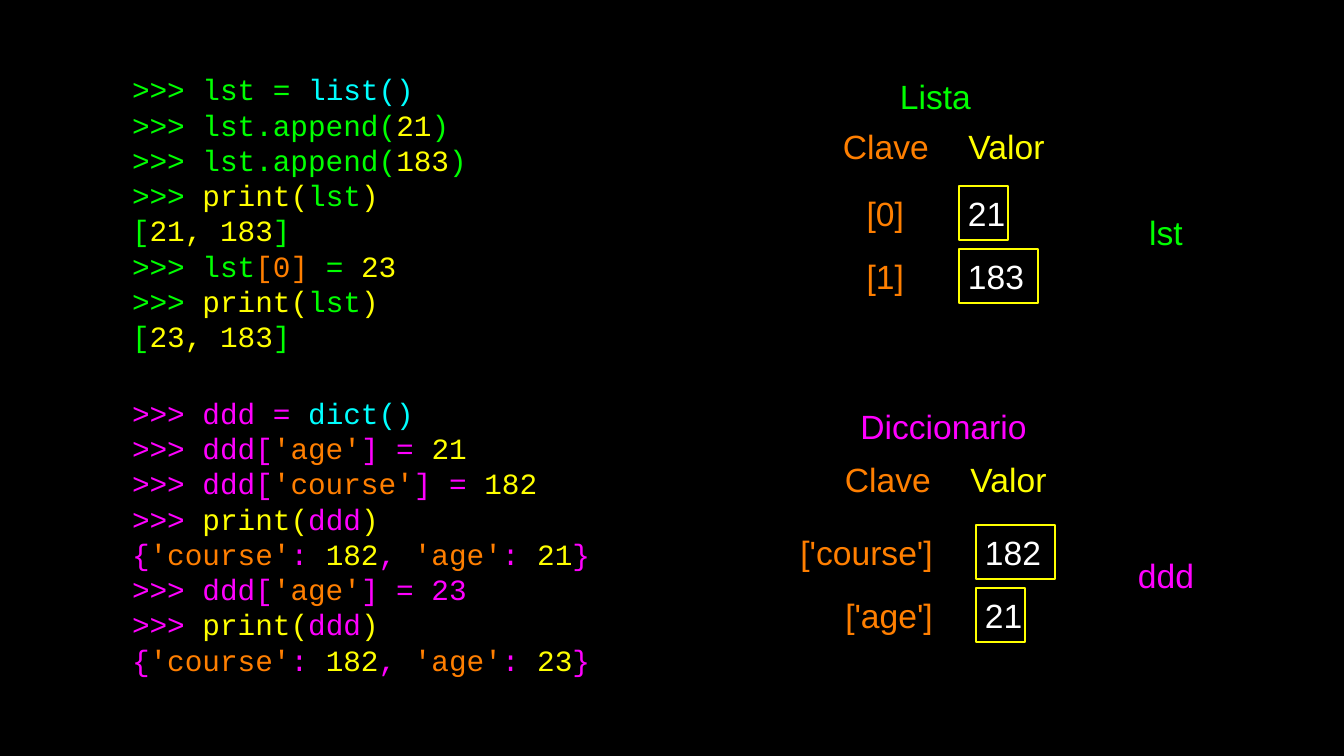
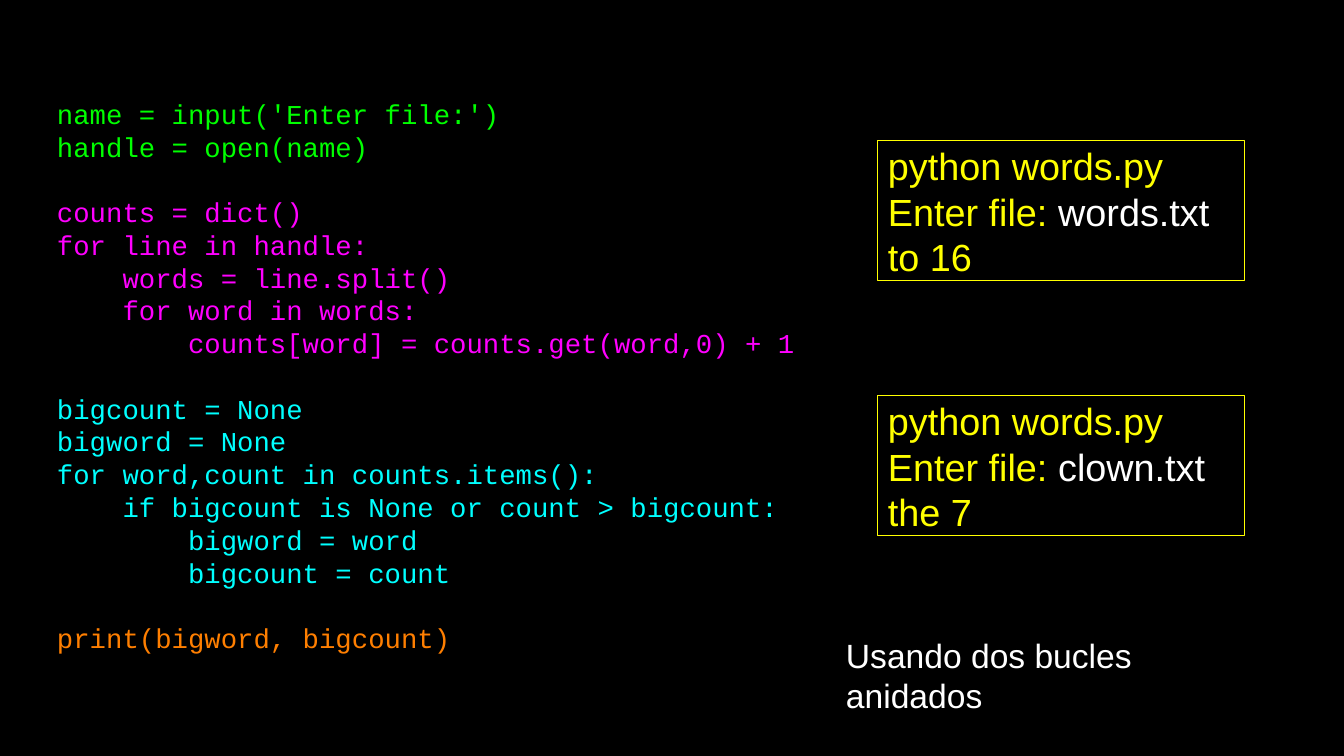
from pptx import Presentation
from pptx.dml.color import RGBColor
from pptx.enum.shapes import MSO_SHAPE
from pptx.enum.text import MSO_ANCHOR as Anchor, MSO_AUTO_SIZE as AutoSize, PP_ALIGN as Align
from pptx.util import Pt

PX = 914400 / 75.6
WIDTH, HEIGHT = 1344, 756
COLOURS = {
    "black": "000000", "white": "FFFFFF", "green": "00FF00", "cyan": "00FFFF",
    "yellow": "FFFF00", "orange": "FF7F00", "magenta": "FF00FF",
}
CODE_FONT, LABEL_FONT = "Courier New", "Arial"
LINE_RATIO = 1.2

PRINT_LIST = [("green", ">>> "), ("yellow", "print("), ("green", "lst"), ("yellow", ")")]
PRINT_DICT = [("magenta", ">>> "), ("yellow", "print("), ("magenta", "ddd"), ("yellow", ")")]
DICT_START = [
    ("magenta", "{"), ("orange", "'course'"), ("magenta", ": "), ("yellow", "182"),
    ("magenta", ", "), ("orange", "'age'"), ("magenta", ": "),
]
LIST_SESSION = [
    [("green", ">>> lst = "), ("cyan", "list()")],
    [("green", ">>> lst.append("), ("yellow", "21"), ("green", ")")],
    [("green", ">>> lst.append("), ("yellow", "183"), ("green", ")")],
    PRINT_LIST,
    [("green", "["), ("yellow", "21, 183"), ("green", "]")],
    [("green", ">>> lst"), ("orange", "[0]"), ("green", " = "), ("yellow", "23")],
    PRINT_LIST,
    [("green", "["), ("yellow", "23, 183"), ("green", "]")],
]
DICT_SESSION = [
    [("magenta", ">>> ddd = "), ("cyan", "dict()")],
    [("magenta", ">>> ddd["), ("orange", "'age'"), ("magenta", "] = "), ("yellow", "21")],
    [("magenta", ">>> ddd["), ("orange", "'course'"), ("magenta", "] = "), ("yellow", "182")],
    PRINT_DICT,
    DICT_START + [("yellow", "21"), ("magenta", "}")],
    [("magenta", ">>> ddd["), ("orange", "'age'"), ("magenta", "] = 23")],
    PRINT_DICT,
    DICT_START + [("yellow", "23"), ("magenta", "}")],
]
SESSIONS = [
    ((132, 64, 470, 297), LIST_SESSION),
    ((132, 373, 514, 326), DICT_SESSION),
]
COLLECTIONS = [
    {
        "title": "Lista", "title_box": (896, 64, 79, 64), "colour": "green",
        "name": "lst", "name_box": (1139, 200, 54, 64),
        "header_left": 839, "header_top": 121,
        "key_right": 904, "value_left": 959, "rows_top": 186,
        "rows": [("[0]", 54, "21"), ("[1]", 54, "183")],
    },
    {
        "title": "Diccionario", "title_box": (835, 394, 217, 64), "colour": "magenta",
        "name": "ddd", "name_box": (1125, 543, 82, 64),
        "header_left": 841, "header_top": 454,
        "key_right": 933, "value_left": 976, "rows_top": 525,
        "rows": [("['course']", 153, "182"), ("['age']", 99, "21")],
    },
]
HEADERS = [("Clave", "orange", 0, 94), ("Valor", "yellow", 122, 91)]
ROW_HEIGHT, ROW_PITCH = 54, 63

PROGRAM = [
    ("green", ["name = input('Enter file:')", "handle = open(name)"]),
    ("magenta", [
        "counts = dict()",
        "for line in handle:",
        "    words = line.split()",
        "    for word in words:",
        "        counts[word] = counts.get(word,0) + 1",
    ]),
    ("cyan", [
        "bigcount = None",
        "bigword = None",
        "for word,count in counts.items():",
        "    if bigcount is None or count > bigcount:",
        "        bigword = word",
        "        bigcount = count",
    ]),
    ("orange", ["print(bigword, bigcount)"]),
]
RUNS = [(141, "words.txt", "to 16"), (396, "clown.txt", "the 7")]
CAPTION = "Usando dos bucles anidados"


def px(length):
    return round(length * PX)


def rgb(colour):
    return RGBColor.from_string(COLOURS[colour])


def write(slide, box, lines, size=32, font=LABEL_FONT, align=Align.LEFT, anchor=Anchor.MIDDLE,
          insets=(0, 0, 0, 0), border=None, wrap=True, gaps=()):
    place = [px(length) for length in box]
    if border:
        holder = slide.shapes.add_shape(MSO_SHAPE.RECTANGLE, *place)
        holder.shadow.inherit = False
        holder.fill.background()
        holder.line.color.rgb = rgb("yellow")
        holder.line.width = Pt(border)
    else:
        holder = slide.shapes.add_textbox(*place)
    frame = holder.text_frame
    frame.word_wrap = wrap
    frame.auto_size = AutoSize.NONE if wrap else AutoSize.SHAPE_TO_FIT_TEXT
    frame.vertical_anchor = anchor
    frame.margin_left, frame.margin_top, frame.margin_right, frame.margin_bottom = map(px, insets)
    for index, line in enumerate(lines):
        paragraph = frame.add_paragraph() if index else frame.paragraphs[0]
        paragraph.alignment = align
        paragraph.line_spacing = Pt(size * LINE_RATIO)
        if index in gaps:
            paragraph.space_before = Pt(size * LINE_RATIO)
        for colour, text in line:
            run = paragraph.add_run()
            run.text = text
            run.font.name = font
            run.font.size = Pt(size)
            run.font.color.rgb = rgb(colour)


def label(slide, box, text, colour, **form):
    write(slide, box, [[(colour, text)]], **form)


def draw_collection(slide, group):
    for part in ("title", "name"):
        label(slide, group[part + "_box"], group[part], group["colour"], align=Align.CENTER)
    for text, colour, offset, width in HEADERS:
        box = (group["header_left"] + offset, group["header_top"], width, 51)
        label(slide, box, text, colour, align=Align.CENTER)
    for index, (key, key_width, value) in enumerate(group["rows"]):
        top = group["rows_top"] + index * ROW_PITCH
        label(slide, (group["key_right"] - key_width, top, key_width, ROW_HEIGHT),
              key, "orange", align=Align.RIGHT)
        value_width = 30 * len(value) - 11
        label(slide, (group["value_left"], top, value_width, ROW_HEIGHT),
              value, "white", insets=(9, 0, 0, 0), border=2)


def compare_collections(slide):
    for box, session in SESSIONS:
        write(slide, box, session, size=28, font=CODE_FONT)
    for group in COLLECTIONS:
        draw_collection(slide, group)


def show_program(slide):
    code, block_starts = [], []
    for colour, block in PROGRAM:
        block_starts.append(len(code))
        code += [[(colour, line)] for line in block]
    write(slide, (57, 71, 763, 609), code, size=26, font=CODE_FONT, gaps=block_starts[1:])
    for top, file_name, answer in RUNS:
        console = [
            [("yellow", "python words.py")],
            [("yellow", "Enter file: "), ("white", file_name)],
            [("yellow", answer)],
        ]
        write(slide, (878, top, 367, 140), console, size=36, insets=(10, 0, 0, 0), border=1)
    label(slide, (838, 631, 447, 48), CAPTION, "white",
          anchor=Anchor.TOP, insets=(8, 4, 8, 4), wrap=False)


def main():
    deck = Presentation()
    deck.slide_width, deck.slide_height = px(WIDTH), px(HEIGHT)
    background = deck.slide_master.background.fill
    background.solid()
    background.fore_color.rgb = rgb("black")
    blank = deck.slide_layouts[6]
    for fill_slide in (compare_collections, show_program):
        fill_slide(deck.slides.add_slide(blank))
    deck.save("out.pptx")


if __name__ == "__main__":
    main()
